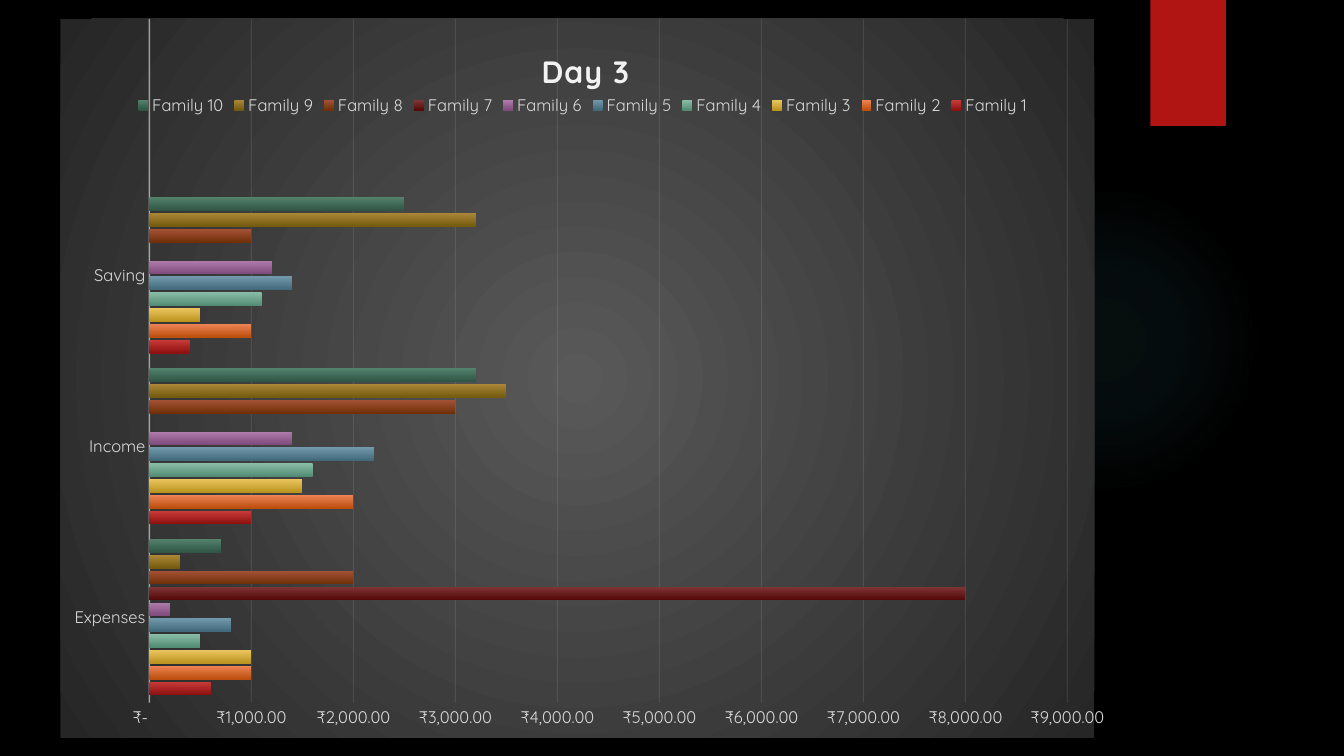
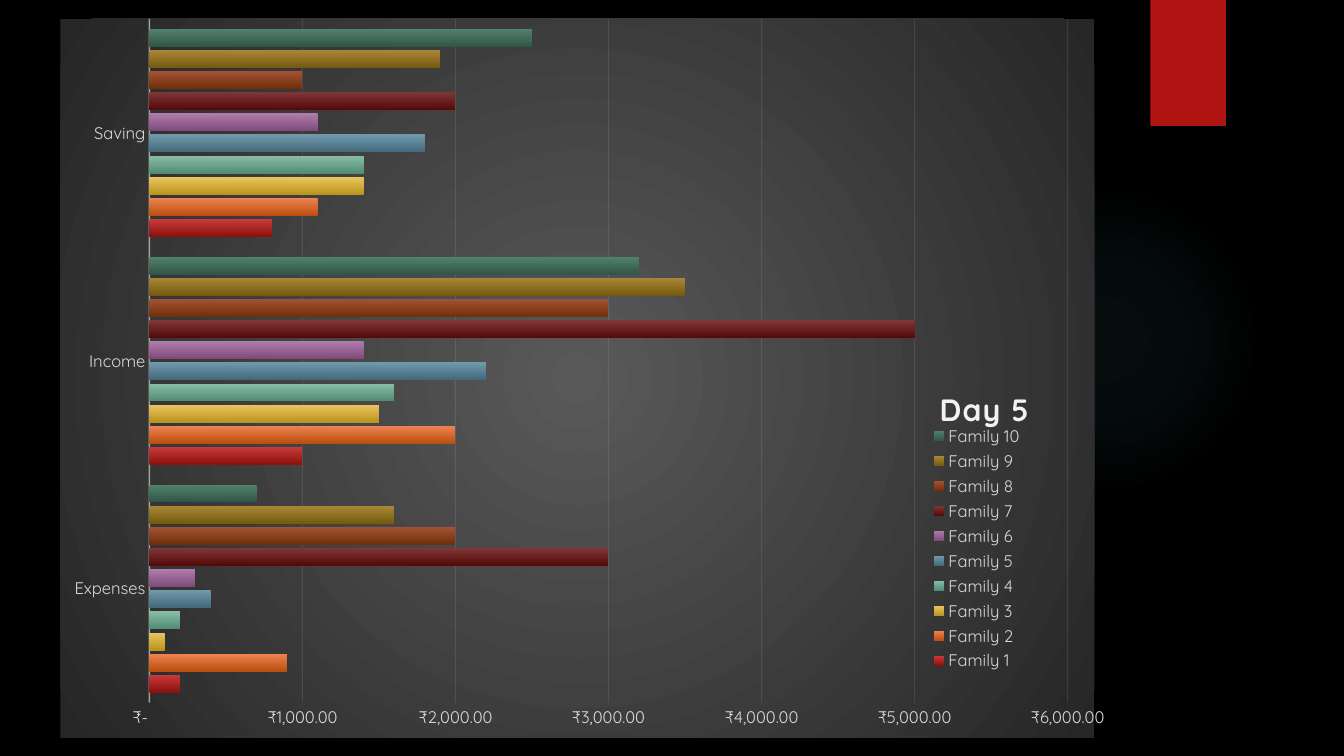
from dataclasses import dataclass

from lxml.etree import SubElement
from pptx import Presentation
from pptx.chart.chart import Chart
from pptx.chart.data import CategoryChartData
from pptx.dml.color import RGBColor
from pptx.dml.line import LineFormat
from pptx.enum.chart import XL_CHART_TYPE, XL_LEGEND_POSITION, XL_TICK_MARK
from pptx.enum.shapes import MSO_SHAPE
from pptx.oxml import parse_xml
from pptx.oxml.ns import nsdecls, qn
from pptx.slide import Slide
from pptx.text.text import Font
from pptx.util import Inches, Pt

FONT = "Quicksand"
BLACK = RGBColor(0x00, 0x00, 0x00)
WHITE = RGBColor(0xFF, 0xFF, 0xFF)
TITLE_WHITE = RGBColor(0xF2, 0xF2, 0xF2)
LABEL_GREY = RGBColor(0xD9, 0xD9, 0xD9)
RED = RGBColor(0xB0, 0x15, 0x13)
TEAL = RGBColor(0x50, 0xB9, 0xC1)
PANEL_CENTRE = RGBColor(0x59, 0x59, 0x59)
PANEL_EDGE = RGBColor(0x26, 0x26, 0x26)
RUPEES = '_("₹"* #,##0.00_);_("₹"* \\(#,##0.00\\);_("₹"* "-"??_);_(@_)'

# Top and bottom colour of each family's bars, Family 1 to Family 10
FAMILY_COLOURS = [
    (RGBColor(0xC9, 0x3B, 0x3A), RGBColor(0x8D, 0x11, 0x0F)),
    (RGBColor(0xEE, 0x84, 0x55), RGBColor(0xBC, 0x4F, 0x0E)),
    (RGBColor(0xEB, 0xC6, 0x5F), RGBColor(0xBB, 0x94, 0x1F)),
    (RGBColor(0x89, 0xBD, 0xA7), RGBColor(0x53, 0x8C, 0x74)),
    (RGBColor(0x71, 0x98, 0xAB), RGBColor(0x43, 0x6A, 0x7C)),
    (RGBColor(0xAF, 0x7C, 0xAC), RGBColor(0x7F, 0x4B, 0x7C)),
    (RGBColor(0x7F, 0x36, 0x36), RGBColor(0x55, 0x0A, 0x09)),
    (RGBColor(0xA4, 0x52, 0x36), RGBColor(0x71, 0x30, 0x09)),
    (RGBColor(0xAA, 0x87, 0x37), RGBColor(0x75, 0x5B, 0x0E)),
    (RGBColor(0x52, 0x81, 0x6C), RGBColor(0x30, 0x56, 0x46)),
]


@dataclass(frozen=True)
class Day:
    """One day's budget; positions are fractions of the chart."""
    title: str
    categories: list[str]
    expenses: list[int]
    income: list[int]
    saving: list[int]
    axis_max: int
    legend_side: XL_LEGEND_POSITION
    title_at: tuple[float, float]
    legend_at: tuple[float, float]


DAYS = [
    Day(
        title="Day 3",
        categories=["Expenses", "Income", "Saving", ""],
        expenses=[600, 1000, 1000, 500, 800, 200, 8000, 2000, 300, 700],
        income=[1000, 2000, 1500, 1600, 2200, 1400, 0, 3000, 3500, 3200],
        saving=[400, 1000, 500, 1100, 1400, 1200, 0, 1000, 3200, 2500],
        axis_max=9000,
        legend_side=XL_LEGEND_POSITION.TOP,
        title_at=(0.46, 0.035),
        legend_at=(0.07, 0.1),
    ),
    Day(
        title="Day 5",
        categories=["Expenses", "Income", "Saving"],
        expenses=[200, 900, 100, 200, 400, 300, 3000, 2000, 1600, 700],
        income=[1000, 2000, 1500, 1600, 2200, 1400, 5000, 3000, 3500, 3200],
        saving=[800, 1100, 1400, 1400, 1800, 1100, 2000, 1000, 1900, 2500],
        axis_max=6000,
        legend_side=XL_LEGEND_POSITION.CORNER,
        title_at=(0.845, 0.505),
        legend_at=(0.84, 0.56),
    ),
]


def radial_gradient(stops: list[tuple[int, RGBColor, int]]):
    """Gradient from the centre outwards; stops are (percent, colour, opacity percent)."""
    stop_xml = "".join(
        f'<a:gs pos="{position * 1000}"><a:srgbClr val="{colour}">'
        f'<a:alpha val="{opacity * 1000}"/></a:srgbClr></a:gs>'
        for position, colour, opacity in stops
    )
    return parse_xml(
        f'<a:gradFill {nsdecls("a")} rotWithShape="1"><a:gsLst>{stop_xml}</a:gsLst>'
        '<a:path path="circle"><a:fillToRect l="50000" t="50000" r="50000" b="50000"/>'
        "</a:path></a:gradFill>"
    )


def add_backdrop(slide: Slide) -> None:
    """Draw the faint teal glow and the red ribbon."""
    glow = slide.shapes.add_shape(
        MSO_SHAPE.OVAL, Inches(9.41), Inches(1.83), Inches(3.08), Inches(3.08))
    glow.shadow.inherit = False
    glow.line.fill.background()
    glow_properties = glow._element.spPr
    glow_properties.find(qn("a:prstGeom")).addnext(
        radial_gradient([(0, TEAL, 7), (36, TEAL, 6), (69, TEAL, 0)]))

    ribbon = slide.shapes.add_shape(
        MSO_SHAPE.RECTANGLE, Inches(11.41), 0, Inches(0.75), Inches(1.25))
    ribbon.fill.solid()
    ribbon.fill.fore_color.rgb = RED
    ribbon.line.fill.background()
    ribbon.shadow.inherit = False
    effects = ribbon._element.spPr.find(qn("a:effectLst"))
    shadow = SubElement(effects, qn("a:outerShdw"), blurRad=str(Pt(3)),
                        dist=str(Pt(2)), dir="5400000", rotWithShape="0")
    shadow_colour = SubElement(shadow, qn("a:srgbClr"), val=str(BLACK))
    SubElement(shadow_colour, qn("a:alpha"), val="45000")


def style_font(font: Font, size: float, colour: RGBColor, bold: bool = False) -> None:
    font.name = FONT
    font.size = Pt(size)
    font.bold = bold
    font.color.rgb = colour


def style_line(line: LineFormat, width: float, opacity: int) -> None:
    line.width = Pt(width)
    line.fill.solid()
    line.fill.fore_color.rgb = TITLE_WHITE
    for colour in line._ln.iter(qn("a:srgbClr")):
        SubElement(colour, qn("a:alpha"), val=str(opacity * 1000))


def place(part, successor, x: float, y: float,
          size: tuple[float, float] | None = None) -> None:
    """Give a chart part a manual layout, written just before its successor."""
    for old_layout in part.findall(qn("c:layout")):
        part.remove(old_layout)
    settings = [("xMode", "edge"), ("yMode", "edge"), ("x", x), ("y", y)]
    if size:
        settings.insert(0, ("layoutTarget", "inner"))
        settings += [("w", size[0]), ("h", size[1])]
    setting_xml = "".join(f'<c:{tag} val="{value}"/>' for tag, value in settings)
    successor.addprevious(parse_xml(
        f'<c:layout {nsdecls("c")}><c:manualLayout>{setting_xml}'
        "</c:manualLayout></c:layout>"))


def style_axes(chart: Chart, axis_max: int) -> None:
    families, rupees = chart.category_axis, chart.value_axis
    for axis in (families, rupees):
        axis.major_tick_mark = axis.minor_tick_mark = XL_TICK_MARK.NONE
        style_font(axis.tick_labels.font, 12, LABEL_GREY)
    families.has_major_gridlines = False
    style_line(families.format.line, 1, 54)
    rupees.minimum_scale, rupees.maximum_scale = 0, axis_max
    rupees.major_unit = 1000
    rupees.tick_labels.number_format = RUPEES
    rupees.tick_labels.number_format_is_linked = False
    rupees.format.line.fill.background()
    rupees.has_major_gridlines = True
    style_line(rupees.major_gridlines.format.line, 0.75, 10)


def add_title_and_legend(chart: Chart, day: Day) -> None:
    chart.has_title = True
    heading = chart.chart_title.text_frame.paragraphs[0]
    heading.text = day.title
    style_font(heading.font, 22, TITLE_WHITE, bold=True)
    heading.runs[0]._r.get_or_add_rPr().set("spc", "100")
    chart.has_legend = True
    chart.legend.position = day.legend_side
    chart.legend.include_in_layout = False
    style_font(chart.legend.font, 12, LABEL_GREY)
    for part, (x, y) in ((chart.chart_title._element, day.title_at),
                         (chart.legend._element, day.legend_at)):
        place(part, part.find(qn("c:overlay")), x, y)


def add_budget_chart(slide: Slide, day: Day) -> None:
    budget = CategoryChartData()
    budget.categories = day.categories
    blanks = [None] * (len(day.categories) - 3)
    for number, amounts in enumerate(zip(day.expenses, day.income, day.saving), 1):
        budget.add_series(f"Family {number}", [*amounts, *blanks])
    chart = slide.shapes.add_chart(
        XL_CHART_TYPE.BAR_CLUSTERED, Inches(0.6), Inches(0.18),
        Inches(10.4), Inches(7.14), budget).chart
    style_font(chart.font, 10, WHITE)

    bars = chart.plots[0]
    bars.gap_width, bars.overlap = 115, -20
    bars.vary_by_categories = False
    for family, colours in zip(bars.series, FAMILY_COLOURS):
        fill = family.format.fill
        fill.gradient()
        fill.gradient_angle = 270
        for stop, colour in zip(fill.gradient_stops, colours):
            stop.color.rgb = colour

    style_axes(chart, day.axis_max)
    add_title_and_legend(chart, day)
    plot_area = chart._chartSpace.chart.plotArea
    place(plot_area, plot_area.find(qn("c:barChart")), 0.086, 0, (0.888, 0.951))

    panel = parse_xml(f'<c:spPr {nsdecls("c", "a")}><a:ln><a:noFill/></a:ln></c:spPr>')
    panel.insert(0, radial_gradient([(0, PANEL_CENTRE, 100), (100, PANEL_EDGE, 100)]))
    chart._chartSpace.chart.addnext(panel)


def main() -> None:
    deck = Presentation()
    deck.slide_width, deck.slide_height = Inches(13.33), Inches(7.5)
    background = deck.slide_master.background.fill
    background.solid()
    background.fore_color.rgb = BLACK
    for day in DAYS:
        slide = deck.slides.add_slide(deck.slide_layouts[6])
        add_backdrop(slide)
        add_budget_chart(slide, day)
    deck.save("out.pptx")


if __name__ == "__main__":
    main()
